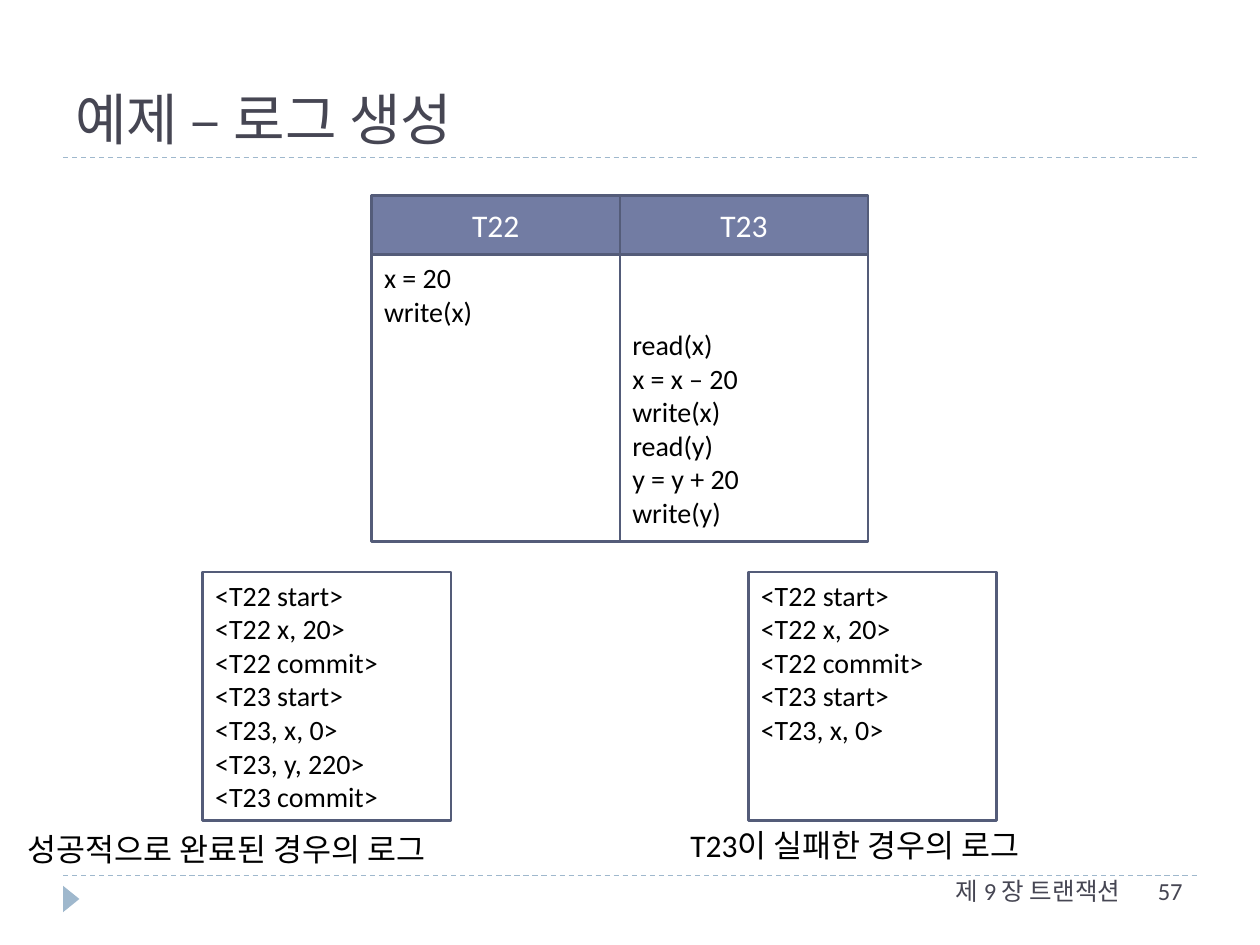
from pptx import Presentation
from pptx.dml.color import RGBColor
from pptx.enum.dml import MSO_LINE
from pptx.enum.shapes import MSO_CONNECTOR, MSO_SHAPE
from pptx.enum.text import MSO_ANCHOR, PP_ALIGN
from pptx.oxml.ns import qn
from pptx.util import Inches, Pt
from lxml.etree import SubElement

WHITE = RGBColor(0xFF, 0xFF, 0xFF)
BLACK = RGBColor(0x00, 0x00, 0x00)
SLATE = RGBColor(0x46, 0x46, 0x53)
INDIGO = RGBColor(0x72, 0x7C, 0xA3)
EDGE = RGBColor(0x54, 0x5C, 0x79)
SKY = RGBColor(0x9F, 0xB8, 0xCD)

SIDE = 1.97
HEAD = 0.47
LINE = 0.265


def write(shape, lines, size, color, font="Calibri",
          align=PP_ALIGN.LEFT, anchor=MSO_ANCHOR.TOP):
    frame = shape.text_frame
    frame.word_wrap = True
    frame.vertical_anchor = anchor
    for i, line in enumerate(lines):
        para = frame.paragraphs[0] if i == 0 else frame.add_paragraph()
        para.alignment = align
        run = para.add_run()
        run.text = line
        run.font.size = Pt(size)
        run.font.name = font
        run.font.color.rgb = color


def label(slide, box, text, size, color, **style):
    shape = slide.shapes.add_textbox(*map(Inches, box))
    write(shape, [text], size, color, **style)


def panel(slide, box, lines, fill=WHITE, size=16, color=BLACK, skip=0, **style):
    shape = slide.shapes.add_shape(MSO_SHAPE.RECTANGLE, *map(Inches, box))
    shape.shadow.inherit = False
    shape.fill.solid()
    shape.fill.fore_color.rgb = fill
    shape.line.color.rgb = EDGE
    shape.line.width = Pt(1.5)
    write(shape, lines, size, color, **style)
    shape.text_frame.margin_top = Inches(0.05 + skip * LINE)


def rule(slide, left, top, width):
    line = slide.shapes.add_connector(
        MSO_CONNECTOR.STRAIGHT, Inches(left), Inches(top),
        Inches(left + width), Inches(top))
    line.line.color.rgb = SKY
    line.line.width = Pt(0.75)
    line.line.dash_style = MSO_LINE.DASH
    SubElement(line._element.spPr, qn("a:effectLst"))


def header(slide, left, top, width, height):
    rule(slide, left, top + height, width)
    label(slide, (left, top, width, height), "예제 – 로그 생성", 32, SLATE,
          font="Arial", anchor=MSO_ANCHOR.BOTTOM)


def footer(slide, left, top, width):
    rule(slide, left, top, width)
    mark = slide.shapes.add_shape(
        MSO_SHAPE.ISOSCELES_TRIANGLE, Inches(left - 0.04), Inches(top + 0.12),
        Inches(0.21), Inches(0.13))
    mark.rotation = 90
    mark.shadow.inherit = False
    mark.fill.solid()
    mark.fill.fore_color.rgb = SKY
    mark.line.fill.background()
    label(slide, (5.19, top - 0.05, 3.8, 0.4), "제 9 장 트랜잭션", 14, SLATE,
          align=PP_ALIGN.RIGHT)
    label(slide, (9.09, top - 0.05, 0.71, 0.4), "57", 14, SLATE)


def schedule(slide, left, top, height):
    columns = [
        ("T22", ["x = 20", "write(x)"], 0),
        ("T23", ["read(x)", "x = x – 20", "write(x)",
                 "read(y)", "y = y + 20", "write(y)"], 2),
    ]
    for i, (name, steps, skip) in enumerate(columns):
        x = left + i * SIDE
        panel(slide, (x, top, SIDE, HEAD), [name], INDIGO, 18, WHITE,
              align=PP_ALIGN.CENTER, anchor=MSO_ANCHOR.MIDDLE)
        panel(slide, (x, top + HEAD, SIDE, height - HEAD), steps, skip=skip)


def log(slide, left, top, lines, text, box):
    panel(slide, (left, top, SIDE, SIDE), lines)
    label(slide, box, text, 18, BLACK)


def main():
    deck = Presentation()
    deck.slide_width = Inches(10)
    deck.slide_height = Inches(7.5)
    slide = deck.slides.add_slide(deck.slide_layouts[6])
    header(slide, 0.5, 0.17, 9, 1.08)
    schedule(slide, 2.95, 1.55, 2.75)
    start = ["<T22 start>", "<T22 x, 20>", "<T22 commit>",
             "<T23 start>", "<T23, x, 0>"]
    log(slide, 1.61, 4.54, start + ["<T23, y, 220>", "<T23 commit>"],
        "성공적으로 완료된 경우의 로그", (0.12, 6.54, 3.69, 0.4))
    log(slide, 5.94, 4.54, start,
        "T23이 실패한 경우의 로그", (5.38, 6.51, 3.09, 0.4))
    footer(slide, 0.5, 6.95, 9)
    deck.save("out.pptx")


if __name__ == "__main__":
    main()
